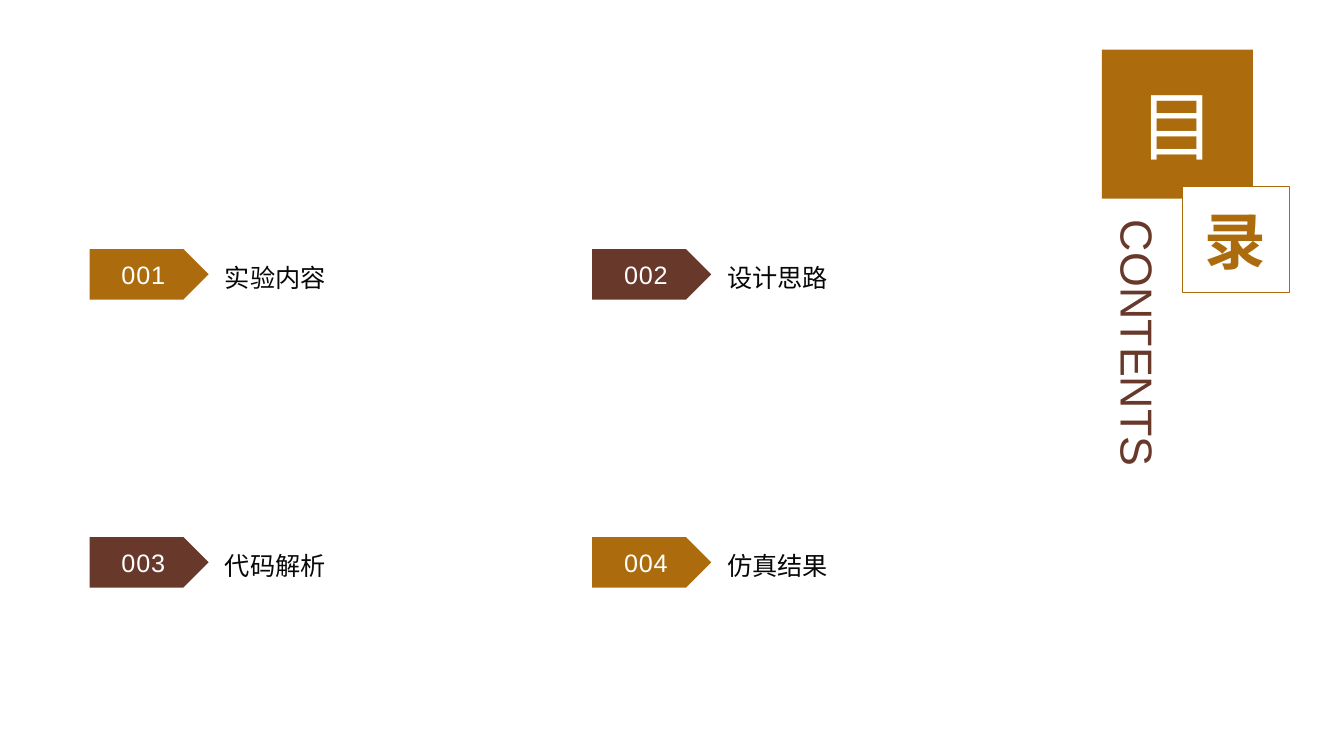
from pptx import Presentation
from pptx.dml.color import RGBColor
from pptx.enum import shapes, text
from pptx.util import Pt

# Content
TOPICS = ["实验内容", "设计思路", "代码解析", "仿真结果"]
TITLE = ("目", "录")
LABEL = "CONTENTS"

GOLD = RGBColor(0xAC, 0x6C, 0x0D)
BROWN = RGBColor(0x68, 0x39, 0x2A)
WHITE = RGBColor(0xFF, 0xFF, 0xFF)
INK = RGBColor(0x08, 0x08, 0x08)
FONT = "Arial"

# Topic grid, in points
LEFT, TOP = 64, 178
STEP_X, STEP_Y = 359, 205.7
TAG_W, TAG_H = 85, 36
TEXT_W, TEXT_H = 266.4, 60.5
TEXT_DX = 93

deck = Presentation()
deck.slide_width, deck.slide_height = Pt(960), Pt(540)
slide = deck.slides.add_slide(deck.slide_layouts[6])


def write(shape, words, size, color, align, inset=(7.2, 3.6, 7.2, 3.6)):
    frame = shape.text_frame
    frame.word_wrap = True
    frame.vertical_anchor = text.MSO_ANCHOR.MIDDLE
    (frame.margin_left, frame.margin_top,
     frame.margin_right, frame.margin_bottom) = map(Pt, inset)
    para = frame.paragraphs[0]
    para.alignment = align
    para.add_run().text = words
    font = para.font
    font.name, font.size, font.color.rgb = FONT, Pt(size), color
    return para


def add_box(kind, box, fill, line=None):
    shape = slide.shapes.add_shape(kind, *map(Pt, box))
    shape.shadow.inherit = False
    shape.fill.solid()
    shape.fill.fore_color.rgb = fill
    if line is None:
        shape.line.fill.background()
    else:
        shape.line.color.rgb = line
        shape.line.width = Pt(1)
    return shape


def add_text(box, *style):
    return write(slide.shapes.add_textbox(*map(Pt, box)), *style)


CENTER, START = text.PP_ALIGN.CENTER, text.PP_ALIGN.LEFT
SHAPE = shapes.MSO_SHAPE

# Numbered topics, colours alternating like a chessboard
for i, topic in enumerate(TOPICS):
    row, col = divmod(i, 2)
    x, y = LEFT + col * STEP_X, TOP + row * STEP_Y
    fill = BROWN if (row + col) % 2 else GOLD
    tag = add_box(SHAPE.PENTAGON, (x, y, TAG_W, TAG_H), fill)
    number = write(tag, f"{i + 1:03}", 18, WHITE, CENTER, (0.7, 0, 0, 0))
    number.runs[0]._r.get_or_add_rPr().set("spc", "60")
    box = (x + TEXT_DX, y + (TAG_H - TEXT_H) / 2, TEXT_W, TEXT_H)
    para = add_text(box, topic, 18, INK, START, (3.6, 3.6, 7.2, 3.6))
    para.line_spacing = 1.2

# Title squares
big = add_box(SHAPE.RECTANGLE, (787, 35.5, 108, 106.5), GOLD)
write(big, TITLE[0], 54, WHITE, CENTER)
small = add_box(SHAPE.RECTANGLE, (844.6, 133.2, 76.3, 75.6), WHITE, GOLD)
write(small, TITLE[1], 44, GOLD, CENTER).font.bold = True

# Vertical label
label = slide.shapes.add_textbox(Pt(782), Pt(150), Pt(62.6), Pt(206))
write(label, LABEL, 32, BROWN, START)
label.text_frame._txBody.bodyPr.set("vert", "eaVert")

deck.save("out.pptx")
